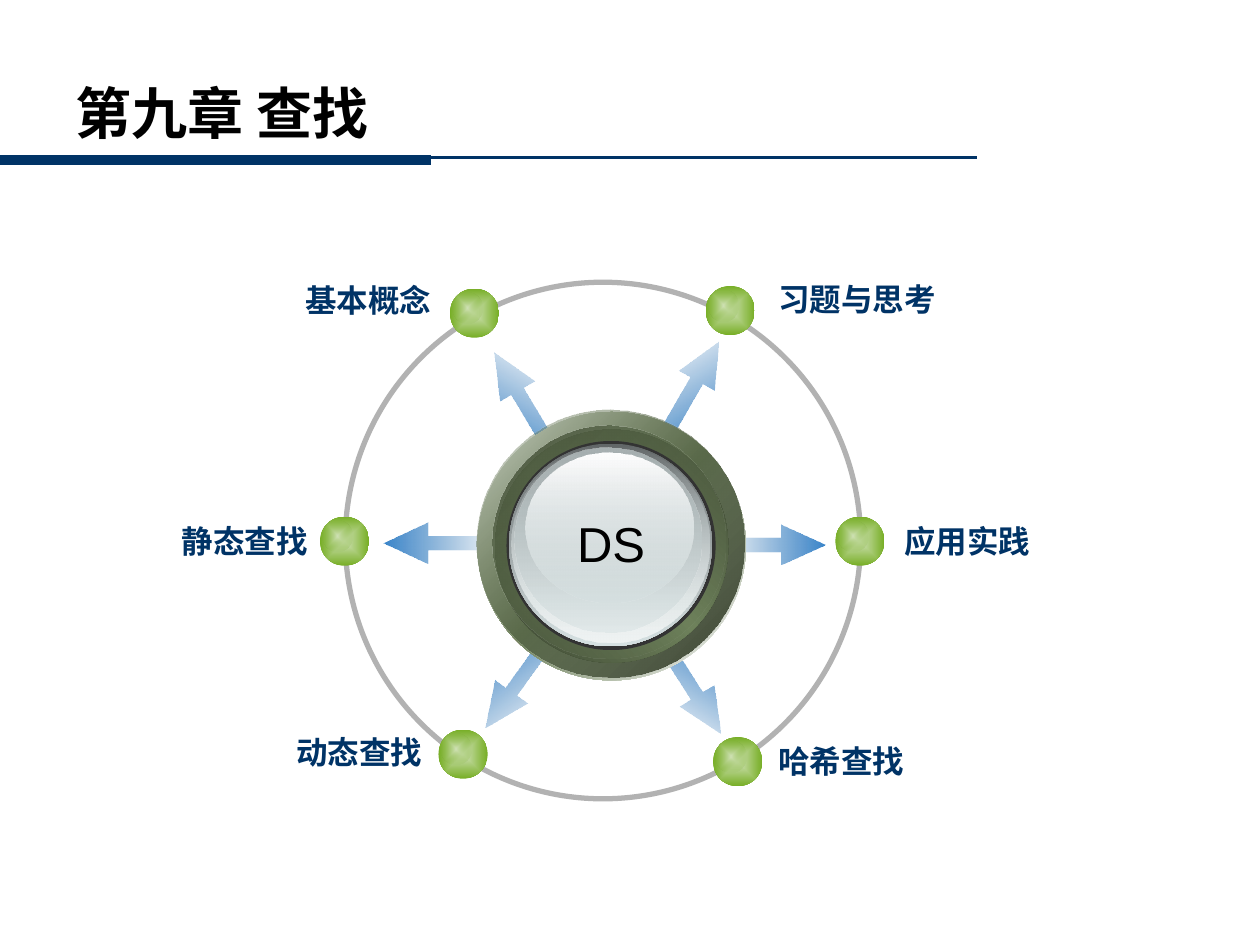
from typing import NamedTuple, Optional

from lxml.etree import SubElement
from pptx import Presentation
from pptx.dml.color import RGBColor
from pptx.enum.shapes import MSO_CONNECTOR, MSO_SHAPE
from pptx.enum.text import MSO_ANCHOR, MSO_AUTO_SIZE, PP_ALIGN
from pptx.oxml import parse_xml
from pptx.oxml.ns import nsdecls, qn
from pptx.util import Inches, Pt

NAVY, BLACK = "003366", "000000"


class Stop(NamedTuple):
    position: int
    color: str
    opacity: int = 100


class Gradient(NamedTuple):
    stops: tuple[Stop, ...]
    angle: Optional[float] = None  # None shades from the centre outwards


class Arrow(NamedTuple):
    left: float
    top: float
    rotation: float
    shade_angle: float
    width: float = 0.87


class Ring(NamedTuple):
    left: float
    top: float
    width: float
    height: float
    gradient: Gradient


class Topic(NamedTuple):
    text: str
    ball_left: float
    ball_top: float
    label_left: float
    label_top: float
    label_width: float
    align: PP_ALIGN


def ramp(angle: Optional[float], *stops: Stop) -> Gradient:
    return Gradient(stops, angle)


BALL_EDGE = ramp(None, Stop(0, "D0E2B5"), Stop(100, "77AE26"))
BALL_SHINE = ramp(None, Stop(0, "D0E2B5"), Stop(100, "77AE26", 0))
ARROW_HEIGHT, BALL_SIZE = 0.32, 0.39

ARROWS = (
    Arrow(5.05, 2.93, 299.6, 240),
    Arrow(5.05, 5.29, 57.8, 122),
    Arrow(3.71, 3.01, 239.5, 300),
    Arrow(3.67, 5.26, 125.6, 54),
    Arrow(5.68, 4.16, 0, 180),
    Arrow(3.04, 4.15, 180, 0, 0.94),
)
HUB = (
    Ring(3.79, 3.27, 2.13, 2.13,
         ramp(225, Stop(0, "FEFEFE"), Stop(50, "6E815B"), Stop(100, "FEFEFE"))),
    Ring(3.78, 3.25, 2.13, 2.13, ramp(225, Stop(0, "323B29"), Stop(100, "6E815B", 32))),
    Ring(3.93, 3.41, 1.85, 1.85,
         ramp(135, Stop(0, "3B4531"), Stop(50, "6E815B"), Stop(100, "3B4531"))),
    Ring(3.91, 3.38, 1.85, 1.85, ramp(225, Stop(0, "6E815B", 0), Stop(100, "455139"))),
    Ring(4.02, 3.50, 1.66, 1.66, ramp(0, Stop(0, "333333"), Stop(100, "333333"))),
    Ring(4.04, 3.52, 1.61, 1.61, ramp(90, Stop(0, "626768"), Stop(100, "D6E1E2"))),
    Ring(4.06, 3.53, 1.57, 1.57, ramp(90, Stop(0, "D6E1E2", 0), Stop(100, "EFF3F3"))),
    Ring(4.08, 3.55, 1.49, 1.47, ramp(90, Stop(0, "A8B1B2"), Stop(100, "D6E1E2", 48))),
    Ring(4.17, 3.59, 1.33, 1.19, ramp(90, Stop(0, "FEFEFE"), Stop(100, "D6E1E2", 38))),
)
TOPICS = (
    Topic("基本概念 ", 3.57, 2.29, 2.27, 2.18, 1.25, PP_ALIGN.RIGHT),
    Topic("静态查找", 2.54, 4.10, 1.34, 4.09, 1.20, PP_ALIGN.RIGHT),
    Topic("动态查找", 3.48, 5.79, 2.25, 5.77, 1.20, PP_ALIGN.RIGHT),
    Topic("习题与思考", 5.60, 2.27, 6.08, 2.17, 1.45, PP_ALIGN.LEFT),
    Topic("应用实践", 6.63, 4.10, 7.08, 4.09, 1.20, PP_ALIGN.LEFT),
    Topic("哈希查找", 5.66, 5.85, 6.08, 5.84, 1.20, PP_ALIGN.LEFT),
)


def rgb(value: str) -> RGBColor:
    return RGBColor.from_string(value)


def apply_gradient(shape, gradient: Gradient) -> None:
    """Fill with stops that may be translucent and that ignore the shape's rotation."""
    fill = parse_xml(f'<a:gradFill {nsdecls("a")} rotWithShape="0"><a:gsLst/></a:gradFill>')
    for stop in gradient.stops:
        mark = SubElement(fill[0], qn("a:gs"), pos=str(stop.position * 1000))
        color = SubElement(mark, qn("a:srgbClr"), val=stop.color)
        if stop.opacity < 100:
            SubElement(color, qn("a:alpha"), val=str(stop.opacity * 1000))
    if gradient.angle is None:
        center = SubElement(fill, qn("a:path"), path="rect")
        SubElement(center, qn("a:fillToRect"), l="50000", t="50000", r="50000", b="50000")
    else:
        SubElement(fill, qn("a:lin"), ang=str(round(gradient.angle * 60000)), scaled="0")
    shape._element.spPr.find(qn("a:prstGeom")).addnext(fill)


def add_plain_shape(page, kind: MSO_SHAPE, left: float, top: float, width: float,
                    height: float, gradient: Optional[Gradient] = None):
    shape = page.shapes.add_shape(kind, Inches(left), Inches(top), Inches(width), Inches(height))
    shape.shadow.inherit = False
    shape.line.fill.background()
    if gradient:
        apply_gradient(shape, gradient)
    else:
        shape.fill.background()
    return shape


def format_text(frame, text: str, size: int, color: str, align: PP_ALIGN,
                bold: bool, font_name: str = "Arial") -> None:
    frame.text = text
    para = frame.paragraphs[0]
    para.alignment = align
    font = para.runs[0].font
    font.size, font.bold, font.name = Pt(size), bold, font_name
    font.color.rgb = rgb(color)


def add_label(page, left: float, top: float, width: float, height: float, text: str,
              size: int, color: str, align: PP_ALIGN, bold: bool) -> None:
    box = page.shapes.add_textbox(Inches(left), Inches(top), Inches(width), Inches(height))
    frame = box.text_frame
    frame.word_wrap = False
    frame.auto_size = MSO_AUTO_SIZE.SHAPE_TO_FIT_TEXT
    format_text(frame, text, size, color, align, bold)


def add_rule(page, end: float, y: float, weight: float) -> None:
    """Draw a horizontal line from the left slide edge."""
    rule = page.shapes.add_connector(
        MSO_CONNECTOR.STRAIGHT, 0, Inches(y), Inches(end), Inches(y))
    rule.line.color.rgb = rgb(NAVY)
    rule.line.width = Pt(weight)
    SubElement(rule._element.spPr, qn("a:effectLst"))


def add_title(page) -> None:
    title = page.shapes.title
    title.left, title.top = Inches(0.5), Inches(0.58)
    title.width, title.height = Inches(8.42), Inches(0.62)
    frame = title.text_frame
    frame.vertical_anchor = MSO_ANCHOR.MIDDLE
    frame.auto_size = MSO_AUTO_SIZE.NONE
    format_text(frame, "第九章 查找", 32, BLACK, PP_ALIGN.LEFT, True, "DejaVu Sans")


def add_arrow(page, arrow: Arrow) -> None:
    shade = ramp(arrow.shade_angle, Stop(0, "3984C9"), Stop(100, "3275B2", 0))
    shape = add_plain_shape(page, MSO_SHAPE.RIGHT_ARROW, arrow.left, arrow.top,
                            arrow.width, ARROW_HEIGHT, shade)
    shape.rotation = arrow.rotation
    shape.adjustments[0], shape.adjustments[1] = 0.35, 1.11


def add_ball(page, left: float, top: float) -> None:
    add_plain_shape(page, MSO_SHAPE.OVAL, left, top, BALL_SIZE, BALL_SIZE, BALL_EDGE)
    add_plain_shape(page, MSO_SHAPE.OVAL, left + 0.02, top + 0.03, 0.24, 0.25, BALL_SHINE)


def main() -> None:
    deck = Presentation()
    deck.slide_width, deck.slide_height = Inches(10), Inches(7.5)
    page = deck.slides.add_slide(deck.slide_layouts[5])

    add_rule(page, 7.75, 1.25, 1.5)
    add_rule(page, 3.42, 1.27, 6)
    add_title(page)
    for arrow in ARROWS:
        add_arrow(page, arrow)
    orbit = add_plain_shape(page, MSO_SHAPE.OVAL, 2.74, 2.24, 4.09, 4.1)
    orbit.line.color.rgb = rgb("B2B2B2")
    orbit.line.width = Pt(3)
    for topic in TOPICS:
        add_ball(page, topic.ball_left, topic.ball_top)
    for ring in HUB:
        add_plain_shape(page, MSO_SHAPE.OVAL, *ring)
    add_label(page, 4.48, 4.03, 0.74, 0.57, "DS", 28, BLACK, PP_ALIGN.CENTER, False)
    for topic in TOPICS:
        add_label(page, topic.label_left, topic.label_top, topic.label_width, 0.4,
                  topic.text, 18, NAVY, topic.align, True)
    deck.save("out.pptx")


if __name__ == "__main__":
    main()
